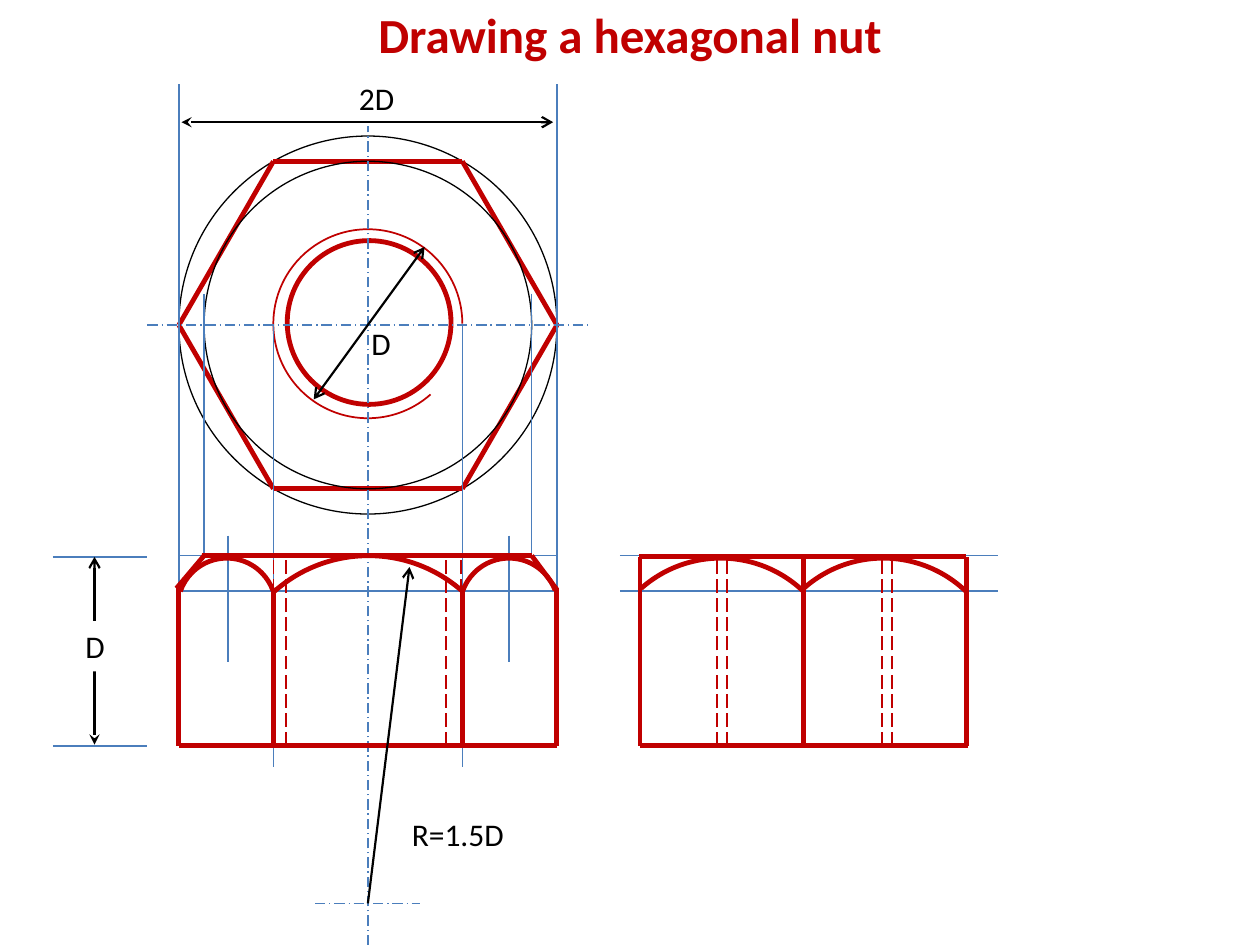
from math import cos, radians, sin

from lxml.etree import SubElement
from pptx import Presentation
from pptx.dml.color import RGBColor
from pptx.enum.dml import MSO_LINE
from pptx.enum.shapes import MSO_CONNECTOR, MSO_SHAPE
from pptx.enum.text import MSO_ANCHOR, PP_ALIGN
from pptx.oxml.ns import qn
from pptx.util import Inches, Pt

RED, BLUE, BLACK, WHITE = "C00000", "4B7EBC", "000000", "FFFFFF"
THICK, THIN = 2.75, 0.75
CHAIN, DASH = MSO_LINE.LONG_DASH_DOT, MSO_LINE.LONG_DASH

# Key levels of the nut: centre, radius, top, chamfer and base
MID_X, MID_Y, RAD = 2.92, 2.58, 1.5
LEFT, RIGHT = MID_X - RAD, MID_X + RAD
TOP, CHAMFER, BASE = 4.41, 4.69, 5.92
INNER = (2.17, 3.67)


def color(text):
    return RGBColor.from_string(text)


def assign(item, values):
    for name, value in values.items():
        setattr(item, name, value)


def stroke(line, tint, width, dash=None):
    line.color.rgb = color(tint)
    assign(line, {"width": Pt(width), "dash_style": dash})


def draw(slide, start, end, tint=BLUE, width=THIN, dash=None, head=None, tail=None):
    item = slide.shapes.add_connector(
        MSO_CONNECTOR.STRAIGHT, *[Inches(v) for v in (*start, *end)])
    stroke(item.line, tint, width, dash)
    props = item._element.spPr
    for tag, kind in (("a:headEnd", head), ("a:tailEnd", tail)):
        if kind:
            SubElement(props.find(qn("a:ln")), qn(tag), type=kind)
    SubElement(props, qn("a:effectLst"))


def upright(slide, x, start, end, *style):
    draw(slide, (x, start), (x, end), *style)


def level(slide, y, start, end, *style):
    draw(slide, (start, y), (end, y), *style)


def arrow(slide, start, end, head=None):
    draw(slide, start, end, BLACK, 1.25, None, head, "arrow")


def outline(slide, kind, x, y, size, tint, width):
    item = slide.shapes.add_shape(kind, *[Inches(v) for v in (x, y, size, size)])
    item.shadow.inherit = False
    item.fill.background()
    stroke(item.line, tint, width)
    return item


def circle(slide, size, tint, width, x=MID_X, y=MID_Y):
    outline(slide, MSO_SHAPE.OVAL, x - size / 2, y - size / 2, size, tint, width)


def arc(slide, x, y, size, first, last, width=THICK, turn=315):
    item = outline(slide, MSO_SHAPE.ARC, x, y, size, RED, width)
    item.rotation = turn
    # Arc angles are kept in 60000ths of a degree
    for i, angle in enumerate((first, last)):
        item.adjustments[i] = angle * 0.6


def label(slide, text, x, y, wide, high=0.4, fill=None, wrap=False,
          align=PP_ALIGN.LEFT, size=18, tint=BLACK, bold=False):
    item = slide.shapes.add_textbox(*[Inches(v) for v in (x, y, wide, high)])
    if fill:
        item.fill.solid()
        item.fill.fore_color.rgb = color(fill)
    frame = item.text_frame
    assign(frame, {"word_wrap": wrap, "vertical_anchor": MSO_ANCHOR.MIDDLE if wrap else MSO_ANCHOR.TOP})
    para = frame.paragraphs[0]
    para.alignment = align
    run = para.add_run()
    run.text = text
    assign(run.font, {"name": "Calibri", "size": Pt(size), "bold": bold})
    run.font.color.rgb = color(tint)


def plan(slide):
    # Circles and hexagon seen from above
    circle(slide, 2 * RAD, BLACK, THIN)
    points = [(MID_X + RAD * cos(radians(a)), MID_Y + RAD * sin(radians(a)))
              for a in range(0, 360, 60)]
    for start, end in zip(points, points[1:] + points[:1]):
        draw(slide, start, end, RED, THICK)
    circle(slide, 2.6, BLACK, THIN)
    # Bore and thread
    circle(slide, 1.3, RED, THICK, 2.93, 2.56)
    arc(slide, 2.17, 1.82, 1.5, 48.4, 0, 1, 0)


def guides(slide):
    # Projection lines from the plan to the front view
    for x in (LEFT, RIGHT):
        upright(slide, x, 0.67, BASE)
    for x in (1.62, 4.22):
        upright(slide, x, 2.33, TOP)
    for x in INNER:
        upright(slide, x, MID_Y, 6.09)
    for x in (1.81, 4.04):
        upright(slide, x, 4.25, 5.25)
    for y in (TOP, CHAMFER):
        level(slide, y, LEFT, RIGHT)
        level(slide, y, 4.92, 7.92)
    # Centre lines
    upright(slide, MID_X, 7.5, 1, BLUE, THIN, CHAIN)
    level(slide, MID_Y, 1.17, 4.67, BLUE, THIN, CHAIN)
    level(slide, 7.17, 2.5, 3.33, BLUE, THIN, CHAIN)


def front(slide):
    level(slide, BASE, LEFT, RIGHT, RED, THICK)
    level(slide, TOP, 1.6, 4.22, RED, THICK)
    for x in (LEFT, *INNER, RIGHT):
        upright(slide, x, BASE, 4.67, RED, THICK)
    draw(slide, (RIGHT, 4.68), (4.22, TOP), RED, THICK)
    draw(slide, (1.62, TOP), (1.4, 4.67), RED, THICK)
    arc(slide, 1.8, TOP, 2.25, 272.4, 355.9)
    for x in (1.41, 3.65):
        arc(slide, x, 4.43, 0.78, 244, 24.8)


def side(slide):
    level(slide, BASE, 5.08, 7.68, RED, THICK)
    level(slide, 4.42, 5.07, 7.67, RED, THICK)
    for x in (5.08, 6.38, 7.67):
        upright(slide, x, BASE, 4.42, RED, THICK)
    for x in (4.77, 6.06):
        arc(slide, x, 4.43, 1.9, 273.4, 358.4)


def hidden(slide):
    # Hidden thread edges of both views
    for x in (2.17, 2.27, 3.54, 3.66, 5.69, 5.77, 7, 7.08):
        upright(slide, x, BASE, 4.42, RED, 1, DASH)


def sizes(slide):
    # Dimensions and their labels
    arrow(slide, (MID_X, 7.17), (3.25, 4.5))
    label(slide, "R=1.5D", 3.17, 6.42, 0.94)
    arrow(slide, (2.49, 3.17), (3.37, 1.96), "arrow")
    label(slide, "D", 2.85, 2.52, 0.36)
    arrow(slide, (1.44, 0.97), (4.39, 0.97), "stealth")
    label(slide, "2D", 2.75, 0.58, 0.49)
    for y in (4.42, BASE):
        level(slide, y, 0.42, 1.17)
    arrow(slide, (0.75, 5.91), (0.75, 4.42), "stealth")
    label(slide, "D", 0.58, 4.93, 0.36, fill=WHITE)


def main():
    deck = Presentation()
    assign(deck, {"slide_width": Inches(10), "slide_height": Inches(7.5)})
    slide = deck.slides.add_slide(deck.slide_layouts[6])
    label(slide, "Drawing a hexagonal nut", 0.5, -0.08, 9, 0.7, wrap=True,
          align=PP_ALIGN.CENTER, size=28, tint=RED, bold=True)
    for part in (plan, guides, front, side, hidden, sizes):
        part(slide)
    deck.save("out.pptx")


if __name__ == "__main__":
    main()
